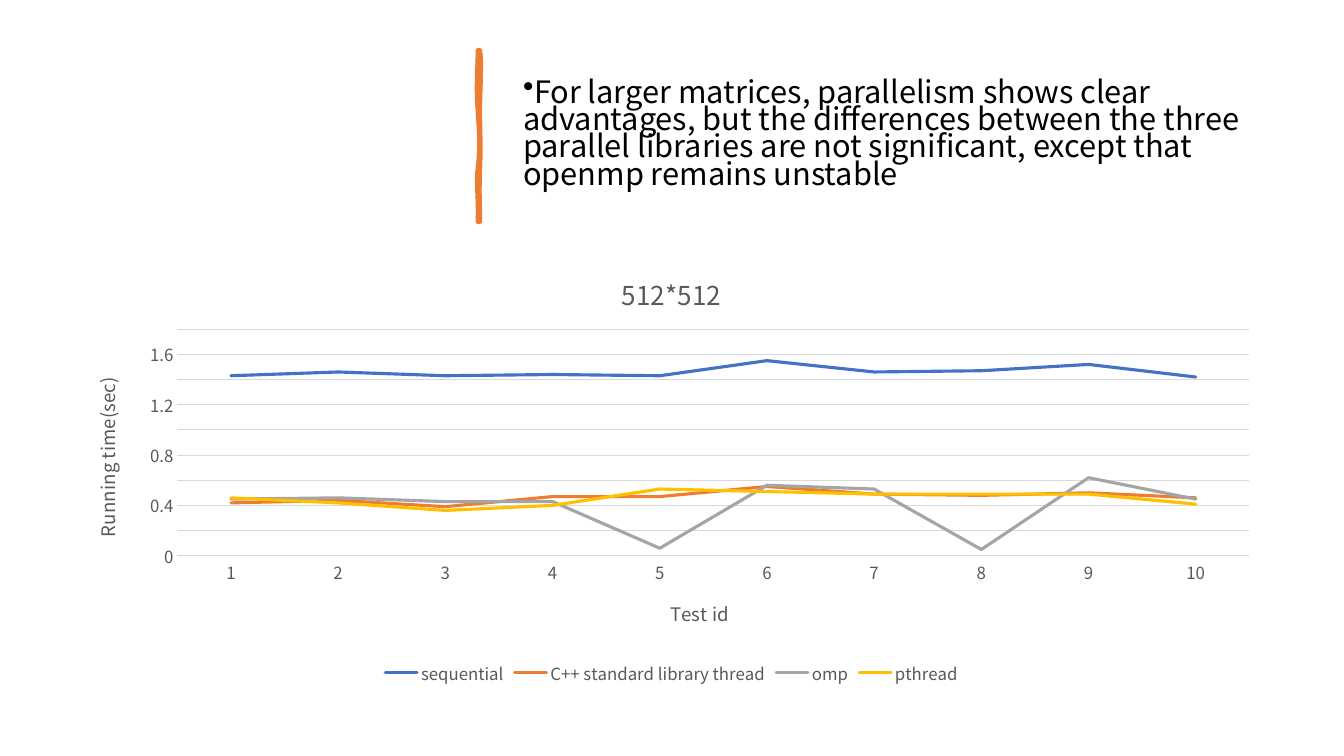
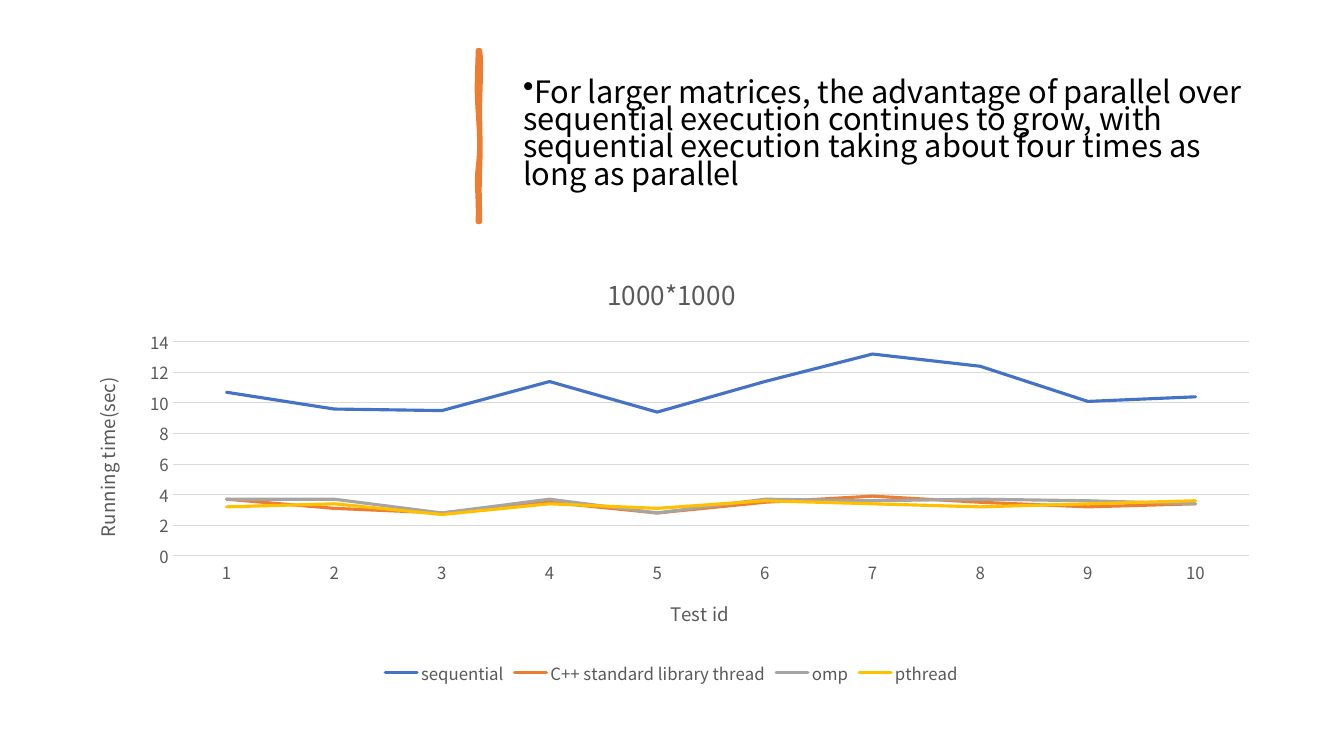
import pptx
import pptx.chart.data
import pptx.dml.color
import pptx.enum.chart
import pptx.enum.text
import pptx.oxml
import pptx.oxml.ns
import pptx.util
from lxml import etree
from pptx.util import Inches, Pt


class Theme:
    font = "Noto Sans CJK SC"
    ink, gray, grid, accent = "000000", "595959", "D9D9D9", "ED7D31"
    lines = ["4472C4", "ED7D31", "A5A5A5", "FFC000"]
    body, title, axis, label = 22, 18.6, 13.3, 12


NAMES = ["sequential", "C++ standard library thread", "omp", "pthread"]
TESTS = [str(n) for n in range(1, 11)]

SLIDES = [
    {
        "text": "For larger matrices, parallelism shows clear advantages, "
                "but the differences between the three parallel libraries "
                "are not significant, except that openmp remains unstable",
        "title": "512*512", "top": 1.8, "step": 0.2,
        "rows": [
            [1.43, 1.46, 1.43, 1.44, 1.43, 1.55, 1.46, 1.47, 1.52, 1.42],
            [0.42, 0.44, 0.39, 0.47, 0.47, 0.55, 0.49, 0.48, 0.5, 0.46],
            [0.45, 0.46, 0.43, 0.43, 0.06, 0.56, 0.53, 0.05, 0.62, 0.45],
            [0.46, 0.42, 0.36, 0.4, 0.53, 0.51, 0.49, 0.49, 0.49, 0.41],
        ],
    },
    {
        "text": "For larger matrices, the advantage of parallel over "
                "sequential execution continues to grow, with sequential "
                "execution taking about four times as long as parallel",
        "title": "1000*1000", "top": 14, "step": 2,
        "rows": [
            [10.7, 9.6, 9.5, 11.4, 9.4, 11.4, 13.2, 12.4, 10.1, 10.4],
            [3.7, 3.1, 2.8, 3.5, 2.8, 3.5, 3.9, 3.5, 3.2, 3.4],
            [3.7, 3.7, 2.8, 3.7, 2.8, 3.7, 3.6, 3.7, 3.6, 3.4],
            [3.2, 3.4, 2.7, 3.4, 3.1, 3.6, 3.4, 3.2, 3.4, 3.6],
        ],
    },
]

# Brush stroke: a start point, then curves of two handles and an end
START = (4.76, 0.5)
CURVES = [
    [(4.78, 0.62), (4.76, 0.88), (4.76, 1.1)],
    [(4.76, 1.32), (4.77, 1.44), (4.76, 1.68)],
    [(4.75, 1.93), (4.76, 1.99), (4.76, 2.2)],
    [(4.75, 2.2), (4.75, 2.2), (4.74, 2.2)],
    [(4.75, 1.96), (4.72, 1.83), (4.74, 1.67)],
    [(4.76, 1.51), (4.76, 1.38), (4.74, 1.1)],
    [(4.72, 0.83), (4.74, 0.67), (4.74, 0.5)],
]


def rgb(code):
    return pptx.dml.color.RGBColor.from_string(code)


def style(font, size, color):
    font.name, font.size, font.bold = Theme.font, Pt(size), False
    font.color.rgb = rgb(color)


def trace(start, curves, steps=8):
    """Return points along a chain of cubic curves."""
    dots = []
    for a, b, end in curves:
        for n in range(1, steps + 1):
            t = n / steps
            u = 1 - t
            dots.append(tuple(
                Inches(u**3 * p + 3 * u * u * t * q + 3 * u * t * t * r + t**3 * s)
                for p, q, r, s in zip(start, a, b, end)))
        start = end
    return dots


def add_stroke(slide):
    pen = slide.shapes.build_freeform(*map(Inches, START))
    pen.add_line_segments(trace(START, CURVES))
    shape = pen.convert_to_shape()
    shape.shadow.inherit = False
    shape.fill.solid()
    shape.fill.fore_color.rgb = rgb(Theme.accent)
    shape.line.color.rgb = rgb(Theme.accent)
    shape.line.width = Pt(3.25)
    etree.SubElement(shape.line._get_or_add_ln(), pptx.oxml.ns.qn("a:round"))


def add_point(slide, text):
    box = slide.shapes.add_textbox(
        Inches(5.09), Inches(0.55), Inches(7.54), Inches(1.6))
    frame = box.text_frame
    frame.word_wrap = True
    frame.vertical_anchor = pptx.enum.text.MSO_ANCHOR.MIDDLE
    para = frame.paragraphs[0]
    para.text = text
    para.line_spacing = 0.74
    para.space_after = Pt(6)
    style(para.font, Theme.body, Theme.ink)
    props = para._p.get_or_add_pPr()
    props.set("marL", "0")
    props.set("indent", str(-Inches(0.25)))
    mark = pptx.oxml.parse_xml(
        '<a:buChar %s char="•"/>' % pptx.oxml.ns.nsdecls("a"))
    props.find(pptx.oxml.ns.qn("a:defRPr")).addprevious(mark)


def set_title(owner, text, size):
    owner.has_title = True
    title = owner.chart_title if hasattr(owner, "chart_title") else owner.axis_title
    para = title.text_frame.paragraphs[0]
    para.text = text
    style(para.font, size, Theme.gray)


def set_axis(axis, text):
    set_title(axis, text, Theme.axis)
    style(axis.tick_labels.font, Theme.label, Theme.gray)
    none = pptx.enum.chart.XL_TICK_MARK.NONE
    axis.major_tick_mark = axis.minor_tick_mark = none


def draw_line(line, color, width):
    line.color.rgb = rgb(color)
    line.width = Pt(width)


def add_plot(slide, item):
    data = pptx.chart.data.CategoryChartData()
    data.categories = TESTS
    for name, row in zip(NAMES, item["rows"]):
        data.add_series(name, row)
    chart = slide.shapes.add_chart(
        pptx.enum.chart.XL_CHART_TYPE.LINE, Inches(0.69), Inches(2.51),
        Inches(11.94), Inches(4.33), data).chart
    style(chart.font, 10, Theme.ink)
    set_title(chart, item["title"], Theme.title)
    chart.chart_title.include_in_layout = False

    chart.has_legend = True
    legend = chart.legend
    legend.position = pptx.enum.chart.XL_LEGEND_POSITION.BOTTOM
    legend.include_in_layout = False
    style(legend.font, Theme.label, Theme.gray)

    across, up = chart.category_axis, chart.value_axis
    set_axis(across, "Test id")
    set_axis(up, "Running time(sec)")
    draw_line(across.format.line, Theme.grid, 0.75)
    up.format.line.fill.background()
    up.minimum_scale, up.maximum_scale = 0, item["top"]
    up.major_unit = item["step"]
    draw_line(up.major_gridlines.format.line, Theme.grid, 0.75)

    plot = chart.plots[0]
    plot.vary_by_categories = False
    for series, color in zip(plot.series, Theme.lines):
        series.smooth = False
        series.marker.style = pptx.enum.chart.XL_MARKER_STYLE.NONE
        draw_line(series.format.line, color, 2.25)
        series.format.line._get_or_add_ln().set("cap", "rnd")


def main():
    deck = pptx.Presentation()
    deck.slide_width, deck.slide_height = Inches(13.33), Inches(7.5)
    for item in SLIDES:
        slide = deck.slides.add_slide(deck.slide_layouts[6])
        add_stroke(slide)
        add_point(slide, item["text"])
        add_plot(slide, item)
    deck.save("out.pptx")


if __name__ == "__main__":
    main()
